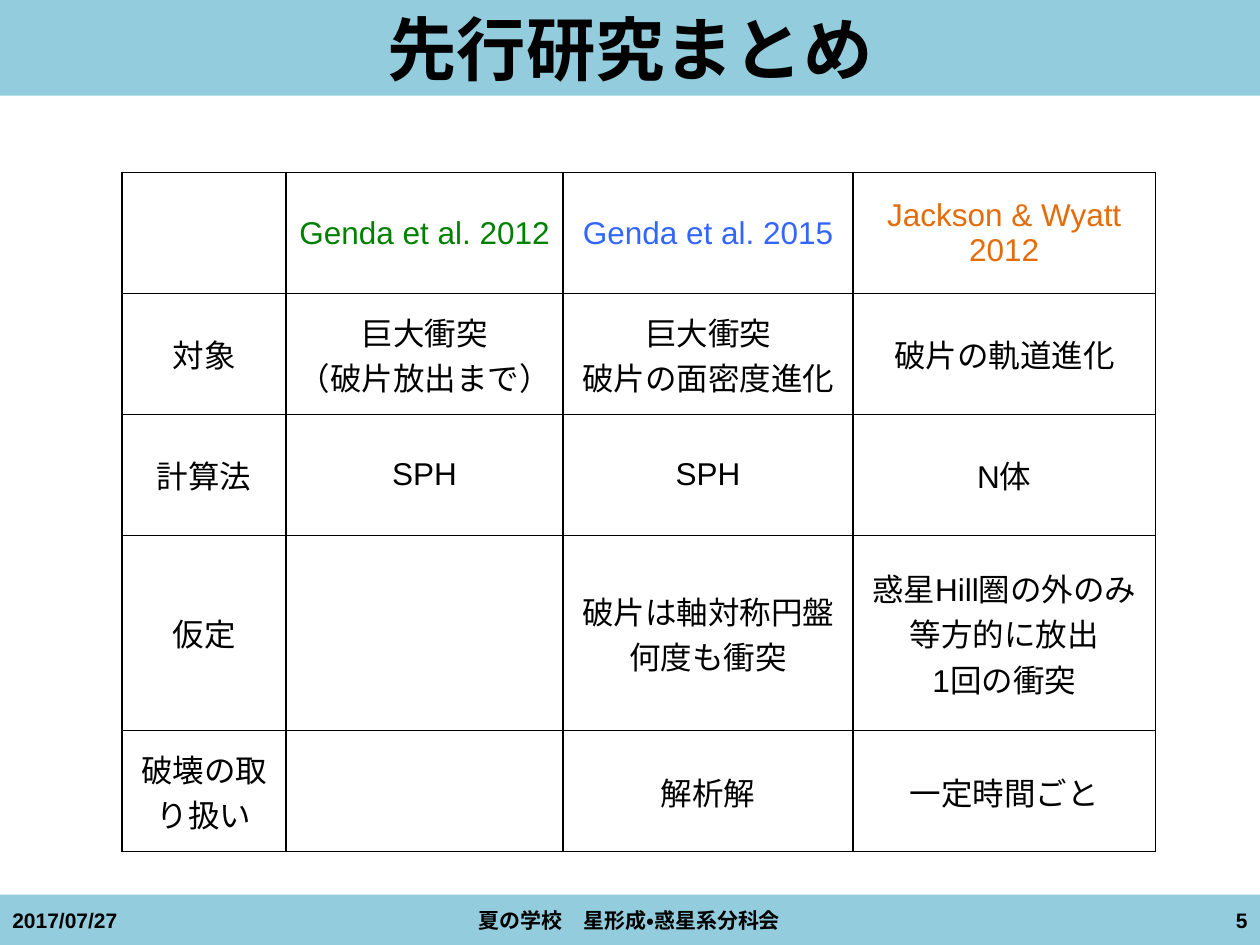
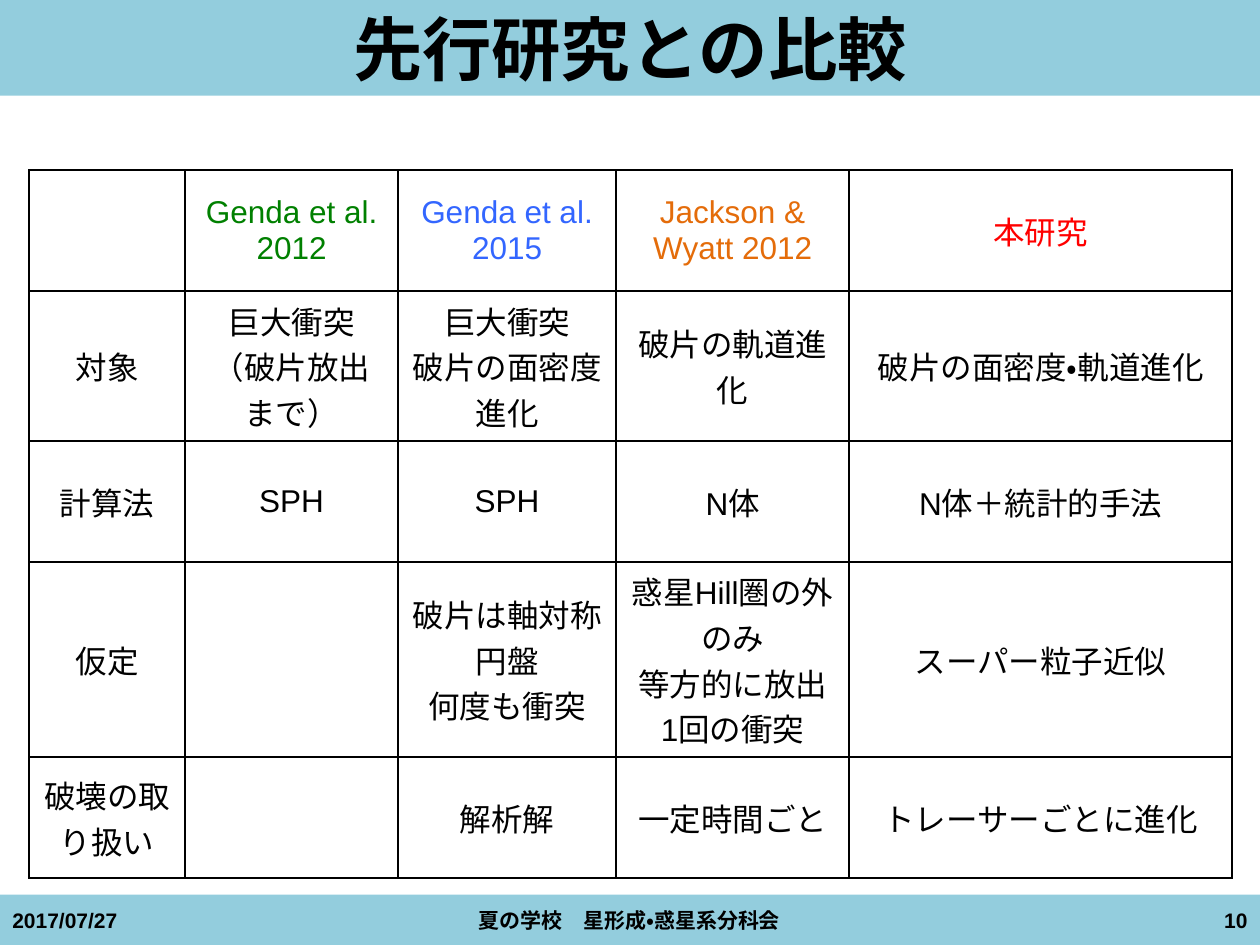
from dataclasses import dataclass

from lxml import etree
from pptx import Presentation
from pptx import util as u
from pptx.dml.color import RGBColor
from pptx.enum import lang, shapes, text
from pptx.oxml.ns import qn


@dataclass(frozen=True)
class Theme:
    band: str = "93CDDD"
    ink: str = "000000"
    green: str = "008000"
    blue: str = "3366FF"
    orange: str = "E46C0A"
    red: str = "FF0000"
    latin: str = "Arial"
    japanese: str = "Cambria"
    title_size: float = 39.6
    footer_size: float = 12
    table_size: float = 18
    border_width: float = 1


THEME = Theme()
WIDTH, HEIGHT = 10, 7.5
TITLE_HEIGHT = 0.76
FOOTER_TOP, FOOTER_HEIGHT = 7.1, 0.4
ROW, THREE_LINE_ROW, FOUR_LINE_ROW = 0.96, 1.19, 1.55
CENTER, LEFT, RIGHT = text.PP_ALIGN.CENTER, text.PP_ALIGN.LEFT, text.PP_ALIGN.RIGHT

STUDIES = [
    ["", "Genda et al. 2012", "Genda et al. 2015", "Jackson & Wyatt 2012"],
    ["対象", "巨大衝突\n（破片放出まで）", "巨大衝突\n破片の面密度進化", "破片の軌道進化"],
    ["計算法", "SPH", "SPH", "N|体"],
    ["仮定", "", "破片は軸対称円盤\n何度も衝突", "惑星Hill圏の外のみ\n等方的に放出\n1回の衝突"],
    ["破壊の取り扱い", "", "解析解", "一定時間ごと"],
]
THIS_STUDY = ["本研究", "破片の面密度・軌道進化", "N|体＋統計的手法", "スーパー粒子近似", "トレーサーごとに進化"]


class SlideWriter:
    def __init__(self, deck, theme):
        self.deck = deck
        self.theme = theme
        self.page = None

    def new_page(self, title, number):
        self.page = self.deck.slides.add_slide(self.deck.slide_layouts[6])
        self.band(0, TITLE_HEIGHT)
        self.band(FOOTER_TOP, FOOTER_HEIGHT)
        theme = self.theme
        self.label(title, (0, 0, WIDTH, TITLE_HEIGHT), CENTER, theme.title_size, theme.latin)
        footers = [
            ("2017/07/27", 0, 2.33, LEFT, theme.latin),
            ("夏の学校　星形成・惑星系分科会", 3.41, 3.17, CENTER, theme.japanese),
            (str(number), 7.67, 2.33, RIGHT, theme.latin),
        ]
        for words, left, width, align, face in footers:
            place = (left, FOOTER_TOP, width, FOOTER_HEIGHT)
            self.label(words, place, align, theme.footer_size, face)

    def band(self, top, height):
        place = map(u.Inches, (0, top, WIDTH, height))
        bar = self.page.shapes.add_shape(shapes.MSO_SHAPE.RECTANGLE, *place)
        bar.shadow.inherit = False
        bar.fill.solid()
        bar.fill.fore_color.rgb = RGBColor.from_string(self.theme.band)
        bar.line.fill.background()

    def span(self, para, words, face, size, color, bold):
        span = para.add_run()
        span.text = words
        formats = {
            "name": face,
            "size": u.Pt(size),
            "bold": bold,
            "language_id": lang.MSO_LANGUAGE_ID.JAPANESE,
        }
        for name, value in formats.items():
            setattr(span.font, name, value)
        span.font.color.rgb = RGBColor.from_string(color)

    def label(self, words, place, align, size, face):
        box = self.page.shapes.add_textbox(*map(u.Inches, place))
        formats = {
            "word_wrap": True,
            "vertical_anchor": text.MSO_ANCHOR.MIDDLE,
            "margin_top": 0,
            "margin_bottom": 0,
        }
        for name, value in formats.items():
            setattr(box.text_frame, name, value)
        para = box.text_frame.paragraphs[0]
        para.alignment = align
        self.span(para, words, face, size, self.theme.ink, True)

    def border(self, cell):
        properties = cell._tc.get_or_add_tcPr()
        for side in ("lnL", "lnR", "lnT", "lnB"):
            line = etree.SubElement(properties, qn(f"a:{side}"), w=str(u.Pt(self.theme.border_width)))
            fill = etree.SubElement(line, qn("a:solidFill"))
            etree.SubElement(fill, qn("a:srgbClr"), val=self.theme.ink)

    def cell(self, cell, words, color, heading):
        theme = self.theme
        self.border(cell)
        cell.fill.background()
        cell.vertical_anchor = text.MSO_ANCHOR.MIDDLE
        for index, line in enumerate(words.split("\n")):
            frame = cell.text_frame
            para = frame.add_paragraph() if index else frame.paragraphs[0]
            para.alignment = CENTER
            for part in filter(None, line.split("|")):
                has_latin = any(letter.isascii() for letter in part)
                face = theme.latin if heading or has_latin else theme.japanese
                self.span(para, part, face, theme.table_size, color, False)

    def table(self, rows, left, top, widths, heights):
        theme = self.theme
        place = map(u.Inches, (left, top, sum(widths), sum(heights)))
        grid = self.page.shapes.add_table(len(rows), len(widths), *place).table
        grid.first_row = grid.horz_banding = False
        for column, width in zip(grid.columns, widths):
            column.width = u.Inches(width)
        heading_colors = [theme.ink, theme.green, theme.blue, theme.orange, theme.red]
        for r, row in enumerate(rows):
            grid.rows[r].height = u.Inches(heights[r])
            for c, words in enumerate(row):
                color = theme.ink if r else heading_colors[c]
                self.cell(grid.cell(r, c), words, color, r == 0)


def main():
    deck = Presentation()
    deck.slide_width, deck.slide_height = u.Inches(WIDTH), u.Inches(HEIGHT)
    writer = SlideWriter(deck, THEME)

    writer.new_page("先行研究まとめ", 5)
    heights = [ROW, ROW, ROW, FOUR_LINE_ROW, ROW]
    writer.table(STUDIES, 0.97, 1.37, [1.3, 2.2, 2.3, 2.4], heights)

    writer.new_page("先行研究との比較", 10)
    comparison = [row + [ours] for row, ours in zip(STUDIES, THIS_STUDY)]
    heights = [ROW, THREE_LINE_ROW, ROW, FOUR_LINE_ROW, ROW]
    writer.table(comparison, 0.23, 1.35, [1.24, 1.69, 1.73, 1.85, 3.04], heights)

    deck.save("out.pptx")


if __name__ == "__main__":
    main()
